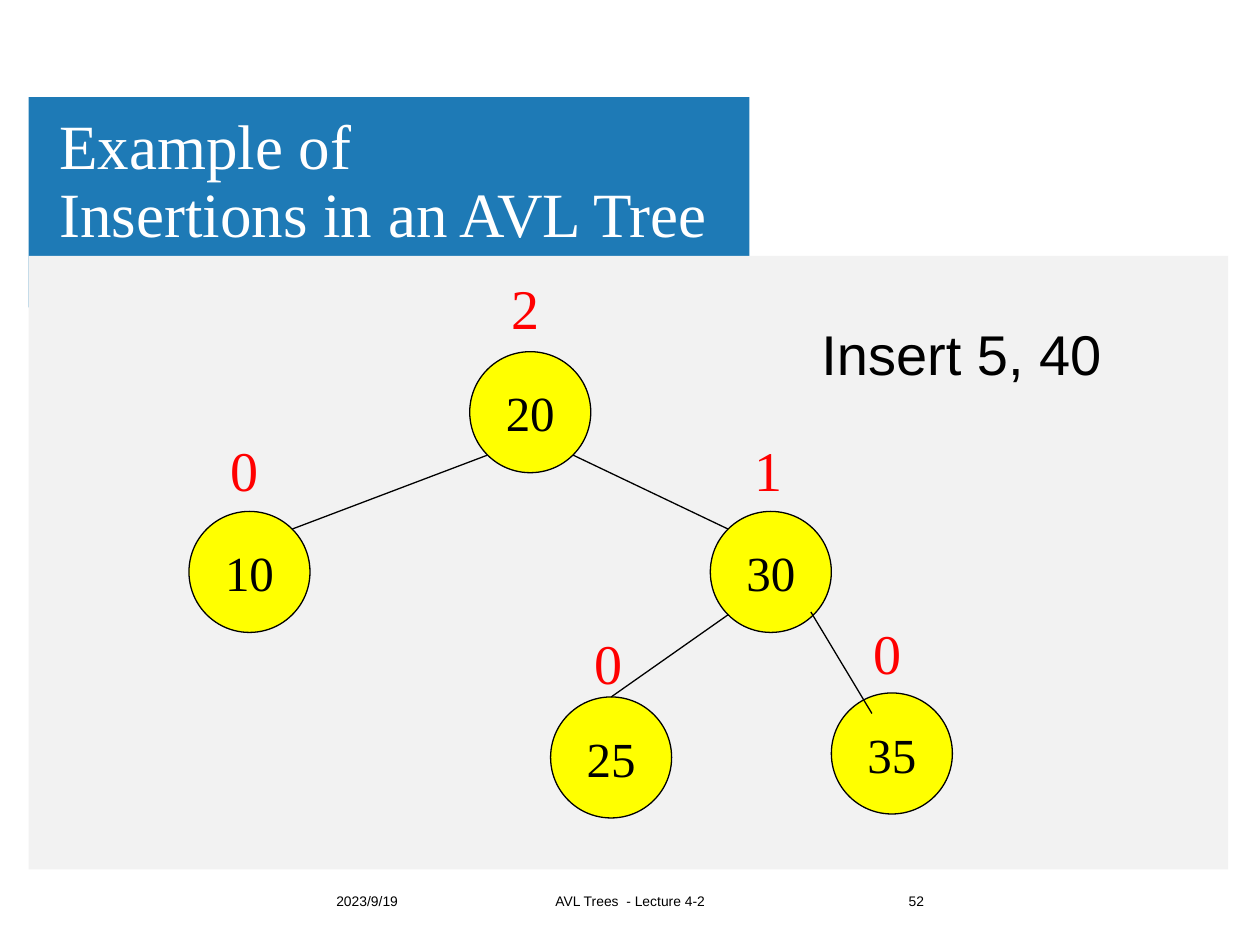
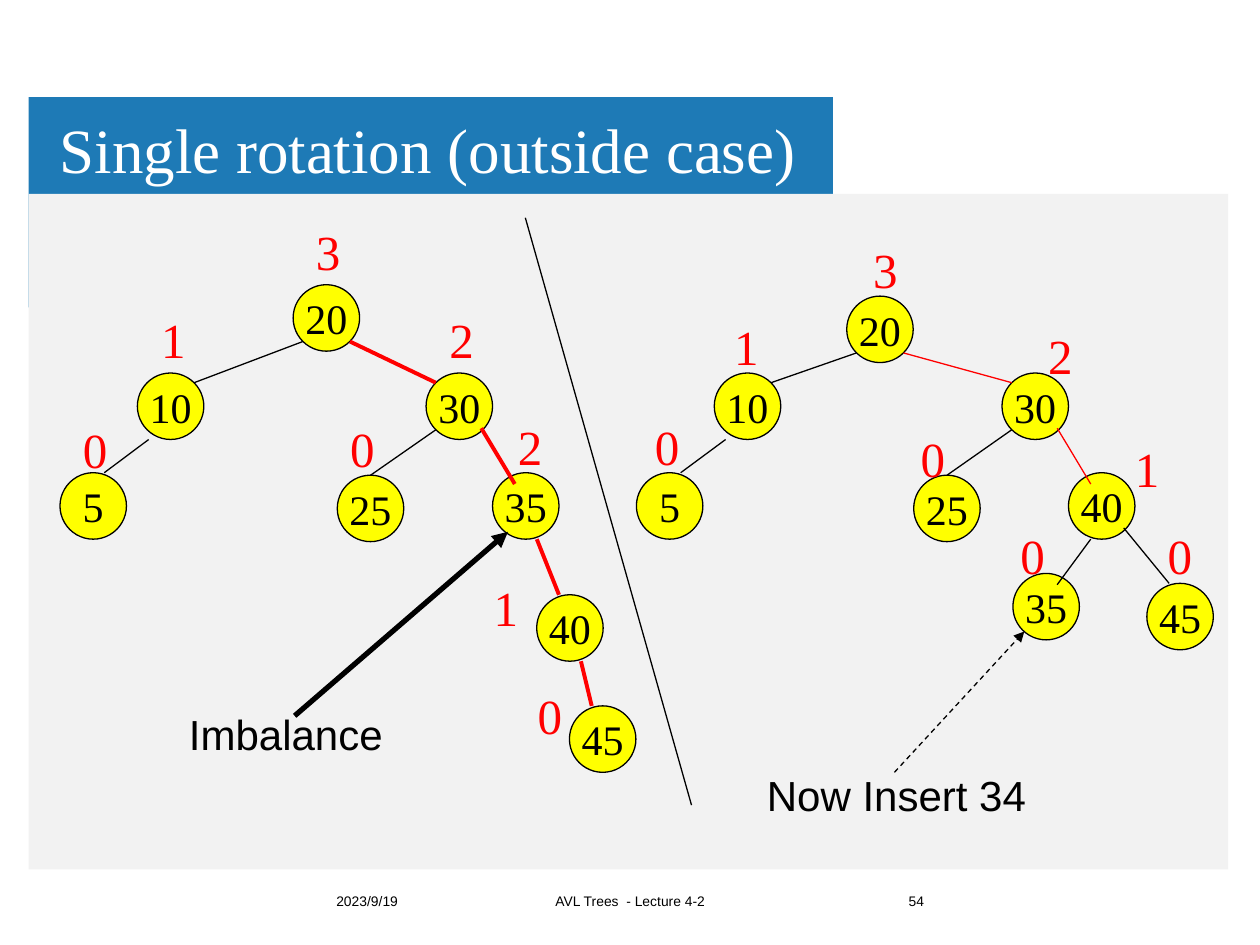
from dataclasses import dataclass

from lxml.etree import SubElement
from pptx import Presentation
from pptx.dml.color import RGBColor
from pptx.enum.dml import MSO_LINE
from pptx.enum.shapes import MSO_CONNECTOR, MSO_SHAPE
from pptx.enum.text import MSO_ANCHOR, MSO_AUTO_SIZE, PP_ALIGN
from pptx.oxml.ns import qn
from pptx.util import Cm, Pt


@dataclass(frozen=True)
class Theme:
    blue: str = "1E7AB6"
    gray: str = "F2F2F2"
    yellow: str = "FFFF00"
    red: str = "FF0000"
    black: str = "000000"
    white: str = "FFFFFF"
    serif: str = "Times New Roman"
    sans: str = "Arial"
    title: float = 36
    foot: float = 7.9
    thin: float = 0.75
    bold: float = 2.25
    thick: float = 3


@dataclass(frozen=True)
class Scale:
    radius: float
    node: float
    height: float
    wide: float
    tall: float


THEME = Theme()
LARGE = Scale(1.22, 28, 32, 1.65, 1.63)
SMALL = Scale(0.67, 24, 28, 1.2, 1.45)

DIAG, THIRD = 0.71, 0.33
WIDE_LEFT = (-DIAG, DIAG), (DIAG, -DIAG)
WIDE_RIGHT = (DIAG, DIAG), (-DIAG, -DIAG)
TO_TOP = (-DIAG, DIAG), (0, -1)
INNER = (2 * THIRD, 2 * THIRD), (-THIRD, -2 * THIRD)
LEAF_LEFT = (-2 * THIRD, 1), (THIRD, -1)
LEAF_RIGHT = (2 * THIRD, 2 * THIRD), (-THIRD, -1)
STEEP_LEFT = (-THIRD, 1), (THIRD, -2 * THIRD)
STEEP_RIGHT = (THIRD, 1), (-THIRD, -1)


def rgb(code):
    return RGBColor.from_string(code)


def style(para, size, face, color, align=PP_ALIGN.LEFT):
    para.alignment = align
    para.font.size = Pt(size)
    para.font.name = face
    para.font.color.rgb = rgb(color)


def add_text(slide, text, box, size, face=THEME.sans, color=THEME.black,
             align=PP_ALIGN.LEFT, anchor=MSO_ANCHOR.TOP):
    frame = slide.shapes.add_textbox(*map(Cm, box)).text_frame
    frame.word_wrap = True
    frame.vertical_anchor = anchor
    frame.text = text
    style(frame.paragraphs[0], size, face, color, align)


def add_band(slide, top, wide, high, color):
    band = slide.shapes.add_shape(
        MSO_SHAPE.RECTANGLE, Cm(0.58), Cm(top), Cm(wide), Cm(high))
    band.shadow.inherit = False
    band.fill.solid()
    band.fill.fore_color.rgb = rgb(color)
    band.line.fill.background()


def add_title(slide, text, top):
    title = slide.shapes.title
    title.left, title.top = Cm(1.02), Cm(top)
    title.width, title.height = Cm(19.61), Cm(2.01)
    frame = title.text_frame
    frame.auto_size = MSO_AUTO_SIZE.NONE
    frame.word_wrap = True
    frame.vertical_anchor = MSO_ANCHOR.MIDDLE
    frame.margin_left = frame.margin_right = Cm(0.18)
    frame.margin_top = frame.margin_bottom = Cm(0.1)
    frame.text = text
    for para in frame.paragraphs:
        style(para, THEME.title, THEME.serif, THEME.white)
        para.line_spacing = 0.9
        para.space_before = Pt(0)
    title.element.getparent().append(title.element)


def add_foot(slide, page):
    parts = (
        ("2023/9/19", 6.53, 3.23, PP_ALIGN.LEFT),
        ("AVL Trees  - Lecture 4-2", 10.29, 4.83, PP_ALIGN.CENTER),
        (page, 15.65, 3.23, PP_ALIGN.RIGHT),
    )
    for text, left, wide, align in parts:
        add_text(slide, text, (left, 17.65, wide, 1.02), THEME.foot,
                 align=align, anchor=MSO_ANCHOR.MIDDLE)


def add_page(deck, title, page, top, wide, panel):
    slide = deck.slides.add_slide(deck.slide_layouts[5])
    add_band(slide, 1.96, wide, 4.24, THEME.blue)
    add_band(slide, panel, 24.18, 17.53 - panel, THEME.gray)
    add_title(slide, title, top)
    add_foot(slide, page)
    return slide


def add_line(slide, start, end, color=THEME.black, width=THEME.thin,
             dash=None, arrow=False):
    link = slide.shapes.add_connector(
        MSO_CONNECTOR.STRAIGHT, *map(Cm, (*start, *end)))
    link.line.color.rgb = rgb(color)
    link.line.width = Pt(width)
    if dash:
        link.line.dash_style = dash
    props = link.element.spPr
    if arrow:
        SubElement(props.find(qn("a:ln")), qn("a:tailEnd"), type="triangle")
    SubElement(props, qn("a:effectLst"))


def add_node(slide, text, spot, scale):
    x, y = spot
    size = Cm(2 * scale.radius)
    node = slide.shapes.add_shape(
        MSO_SHAPE.OVAL, Cm(x - scale.radius), Cm(y - scale.radius), size, size)
    node.shadow.inherit = False
    node.fill.solid()
    node.fill.fore_color.rgb = rgb(THEME.yellow)
    node.line.color.rgb = rgb(THEME.black)
    node.line.width = Pt(THEME.thin)
    frame = node.text_frame
    frame.word_wrap = False
    frame.vertical_anchor = MSO_ANCHOR.MIDDLE
    frame.text = text
    style(frame.paragraphs[0], scale.node, THEME.serif, THEME.black,
          PP_ALIGN.CENTER)


def add_tree(slide, scale, nodes, edges, marked=(), width=THEME.thin):
    for key, (spot, height, corner) in nodes.items():
        add_node(slide, str(key), spot, scale)
        add_text(slide, str(height), (*corner, scale.wide, scale.tall),
                 scale.height, THEME.serif, THEME.red)
    for edge, sides in edges.items():
        ends = [
            [mid + scale.radius * part for mid, part in zip(nodes[key][0], side)]
            for key, side in zip(edge, sides)
        ]
        if edge in marked:
            add_line(slide, *ends, THEME.red, width)
        else:
            add_line(slide, *ends)


def add_insert(deck):
    slide = add_page(deck, "Example of\nInsertions in an AVL Tree", "52",
                     2.69, 14.53, 5.16)
    nodes = {
        20: ((10.69, 8.31), 2, (10.06, 5.38)),
        10: ((5.03, 11.53), 0, (4.39, 8.66)),
        30: ((15.54, 11.53), 1, (14.96, 8.66)),
        25: ((12.32, 15.27), 0, (11.73, 12.55)),
        35: ((17.98, 15.19), 0, (17.35, 12.34)),
    }
    edges = {
        (20, 10): WIDE_LEFT,
        (20, 30): WIDE_RIGHT,
        (30, 25): TO_TOP,
        (30, 35): INNER,
    }
    add_tree(slide, LARGE, nodes, edges)
    add_text(slide, "Insert 5, 40", (16.31, 6.32, 7.06, 1.63), 32)


def add_turn(deck):
    slide = add_page(deck, "Single rotation (outside case)", "54",
                     2.08, 16.21, 3.91)
    before = {
        20: ((6.58, 6.41), 3, (6.12, 4.34)),
        10: ((3.44, 8.19), 1, (3, 6.12)),
        30: ((9.26, 8.19), 2, (8.81, 6.12)),
        25: ((7.47, 10.25), 0, (6.81, 8.31)),
        35: ((10.6, 10.2), 2, (10.19, 8.28)),
        5: ((1.88, 10.2), 0, (1.42, 8.33)),
        40: ((11.49, 12.66), 1, (9.7, 11.51)),
        45: ((12.15, 14.9), 0, (10.59, 13.69)),
    }
    after = {
        20: ((17.74, 6.64), 3, (17.35, 4.7)),
        10: ((15.07, 8.19), 1, (14.55, 6.25)),
        30: ((20.87, 8.19), 2, (20.88, 6.43)),
        25: ((19.09, 10.25), 0, (18.31, 8.51)),
        40: ((22.21, 10.2), 1, (22.63, 8.71)),
        5: ((13.5, 10.2), 0, (12.95, 8.28)),
        35: ((21.09, 12.23), 0, (20.32, 10.46)),
        45: ((23.79, 12.43), 0, (23.29, 10.46)),
    }
    shared = {
        (20, 10): WIDE_LEFT,
        (20, 30): WIDE_RIGHT,
        (30, 25): TO_TOP,
        (10, 5): LEAF_LEFT,
    }
    chain = {(30, 35): INNER, (35, 40): STEEP_RIGHT, (40, 45): STEEP_RIGHT}
    turned = {(30, 40): INNER, (40, 35): STEEP_LEFT, (40, 45): LEAF_RIGHT}
    add_tree(slide, SMALL, before, shared | chain, {(20, 30), *chain},
             THEME.bold)
    add_tree(slide, SMALL, after, shared | turned, {(20, 30), (30, 40)})
    add_line(slide, (10.59, 4.39), (13.94, 16.23))
    add_text(slide, "Imbalance", (3.56, 14.15, 4.78, 1.27), 24)
    add_line(slide, (5.94, 14.43), (10.24, 10.72), width=THEME.thick,
             arrow=True)
    add_text(slide, "Now Insert 34", (15.21, 15.39, 6.07, 1.27), 24)
    add_line(slide, (18.03, 15.57), (20.65, 12.73), dash=MSO_LINE.DASH,
             arrow=True)


def main():
    deck = Presentation()
    deck.slide_width, deck.slide_height = Cm(25.4), Cm(19.05)
    add_insert(deck)
    add_turn(deck)
    deck.save("out.pptx")


if __name__ == "__main__":
    main()
